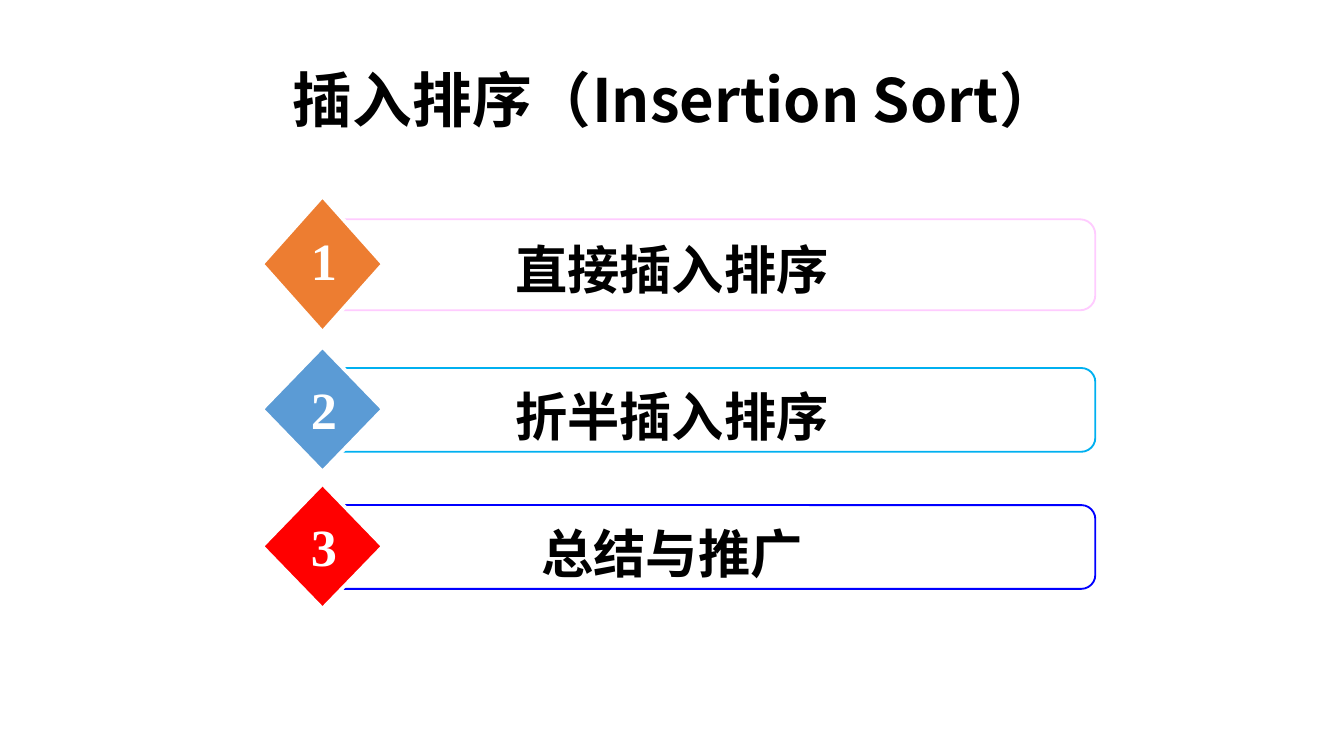
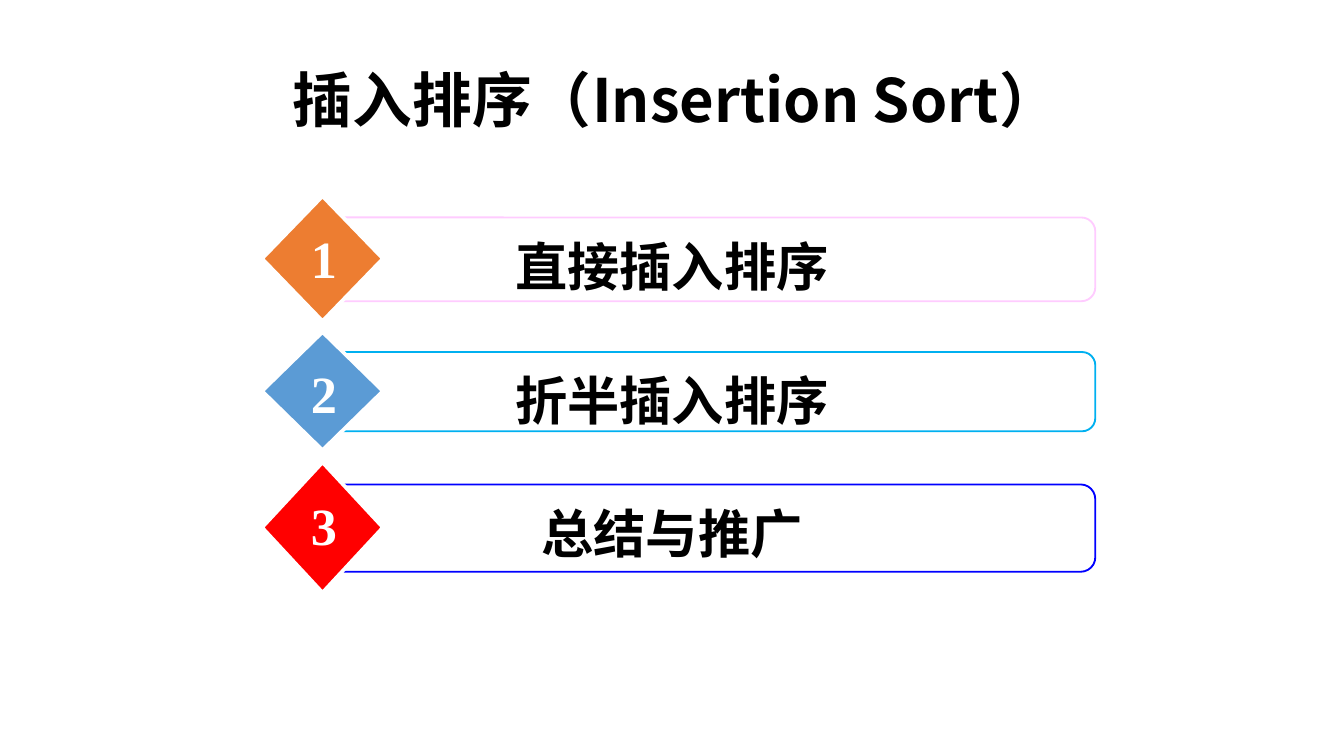
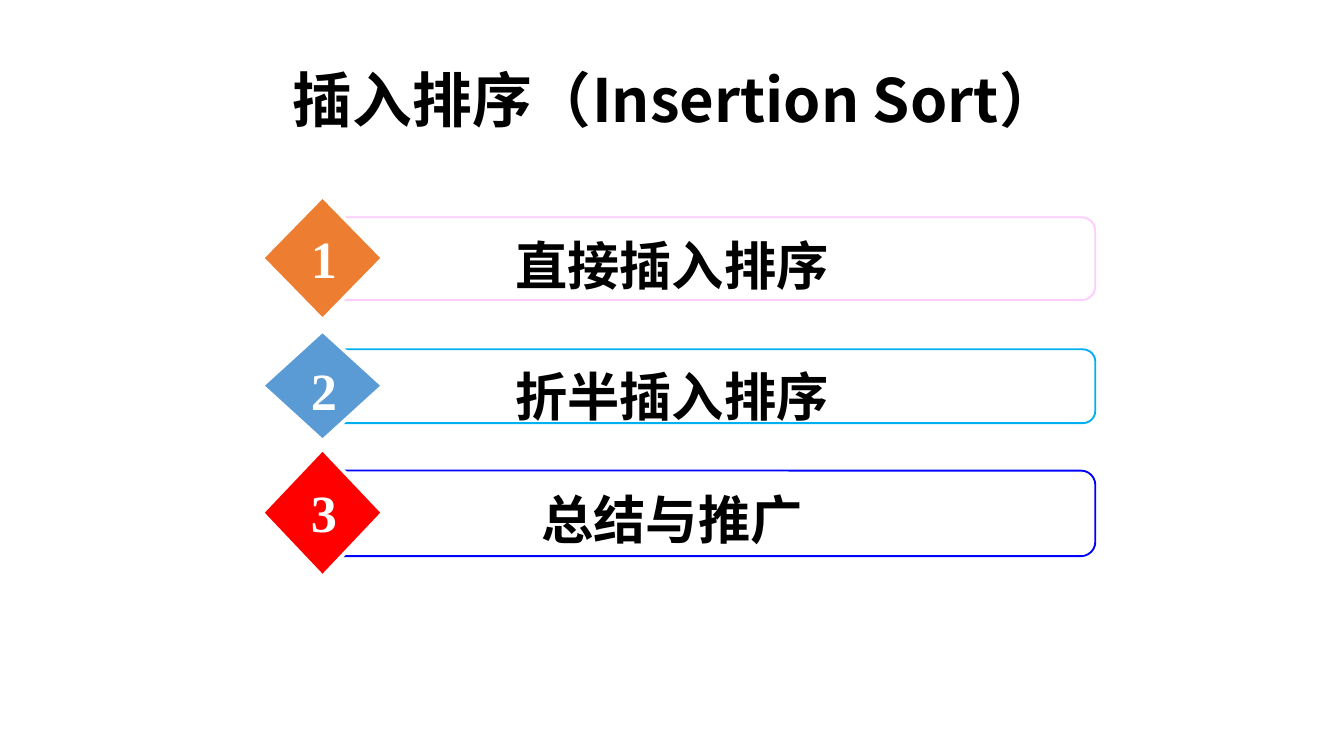
from lxml.etree import SubElement
from pptx import Presentation
from pptx.dml.color import RGBColor
from pptx.enum.shapes import MSO_SHAPE
from pptx.enum.text import MSO_ANCHOR, MSO_AUTO_SIZE, PP_ALIGN
from pptx.oxml.ns import qn
from pptx.util import Inches, Pt

HEADING = "插入排序（Insertion Sort）"
CHINESE_FONT = "Noto Sans CJK SC"
LATIN_FONT = "Times New Roman"
BLACK, WHITE = "000000", "FFFFFF"

TOPICS = [
    ("直接插入排序", "ED7D31", "FFCCFF"),
    ("折半插入排序", "5B9BD5", "00B0F0"),
    ("总结与推广", "FF0000", "0000FF"),
]
DIAMOND_SPANS = [
    [(1.46, 1.01), (2.58, 0.93), (3.6, 0.93)],
    [(1.46, 0.93), (2.47, 0.88), (3.44, 0.97)],
    [(1.46, 0.92), (2.46, 0.82), (3.34, 0.95)],
]


def color(value):
    """Turn a hex string into a colour."""
    return RGBColor.from_string(value)


def write(frame, text, size, latin, ink):
    """Write one bold centred paragraph into a text frame."""
    para = frame.paragraphs[0]
    para.text = text
    para.alignment = PP_ALIGN.CENTER
    font = para.font
    font.size, font.bold, font.name = Pt(size), True, latin
    font.color.rgb = color(ink)
    defaults = para._p.pPr.find(qn("a:defRPr"))
    SubElement(defaults, qn("a:ea")).set("typeface", CHINESE_FONT)
    return para


def add_title(page):
    """Place and format the heading in the title placeholder."""
    title = page.shapes.title
    title.left, title.top = Inches(0.25), Inches(0.47)
    title.width, title.height = Inches(9.56), Inches(0.6)
    frame = title.text_frame
    frame.auto_size = MSO_AUTO_SIZE.NONE
    frame.vertical_anchor = MSO_ANCHOR.MIDDLE
    write(frame, HEADING, 32, CHINESE_FONT, BLACK).line_spacing = 0.9


def add_outline(group, kind, left, top, width, height, fill, line, weight):
    """Add a filled and outlined preset shape."""
    shape = group.shapes.add_shape(
        kind, Inches(left), Inches(top), Inches(width), Inches(height))
    shape.shadow.inherit = False
    shape.fill.solid()
    shape.fill.fore_color.rgb = color(fill)
    shape.line.color.rgb = color(line)
    shape.line.width = Pt(weight)


def add_text(group, text, left, top, width, height, ink, wrap):
    """Add a text box that grows with its text."""
    box = group.shapes.add_textbox(
        Inches(left), Inches(top), Inches(width), Inches(height))
    frame = box.text_frame
    frame.word_wrap = wrap
    frame.auto_size = MSO_AUTO_SIZE.SHAPE_TO_FIT_TEXT
    write(frame, text, 28, LATIN_FONT, ink)


def add_topic(page, number, topic, top, height):
    """Add a numbered diamond with its labelled bar, scaled to the height."""
    label, accent, border = topic
    group = page.shapes.add_group_shape()
    add_outline(group, MSO_SHAPE.ROUNDED_RECTANGLE, 2.45, top + 0.17 * height,
                5.7, 0.67 * height, WHITE, border, 1)
    add_outline(group, MSO_SHAPE.DIAMOND, 1.95, top, 0.9, height,
                accent, WHITE, 2)
    add_text(group, label, 2.75, top + 0.25 * height, 4.5, 0.85 * height,
             BLACK, True)
    add_text(group, str(number), 2.21, top + 0.19 * height, 0.4, 0.85 * height,
             WHITE, False)


def main():
    """Build the agenda slides and save the deck."""
    deck = Presentation()
    deck.slide_width = Inches(10)
    deck.slide_height = deck.slide_width * 9 // 16
    title_only = deck.slide_layouts[5]
    for spans in DIAMOND_SPANS:
        page = deck.slides.add_slide(title_only)
        add_title(page)
        for number, (topic, span) in enumerate(zip(TOPICS, spans), start=1):
            add_topic(page, number, topic, *span)
    deck.save("out.pptx")


if __name__ == "__main__":
    main()
